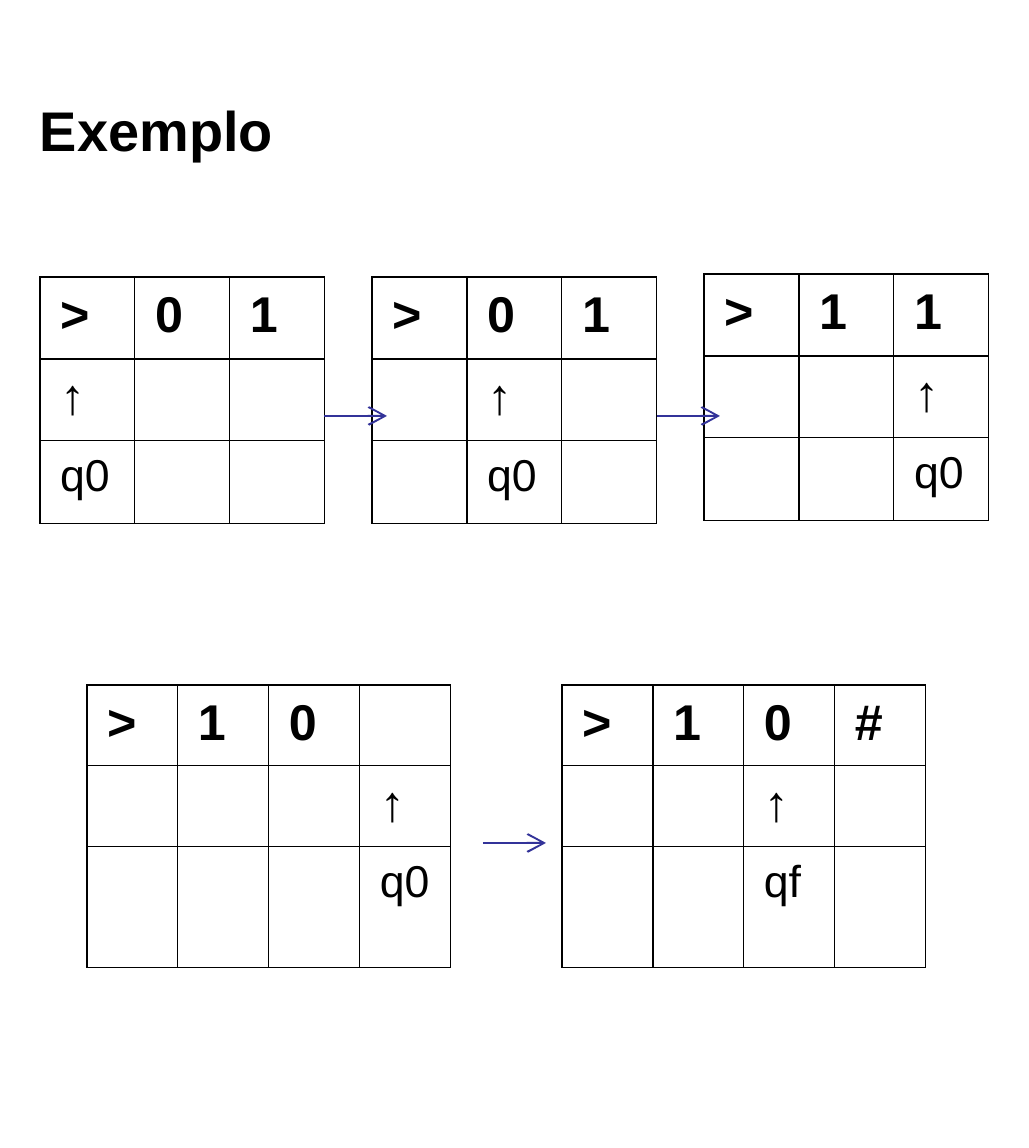
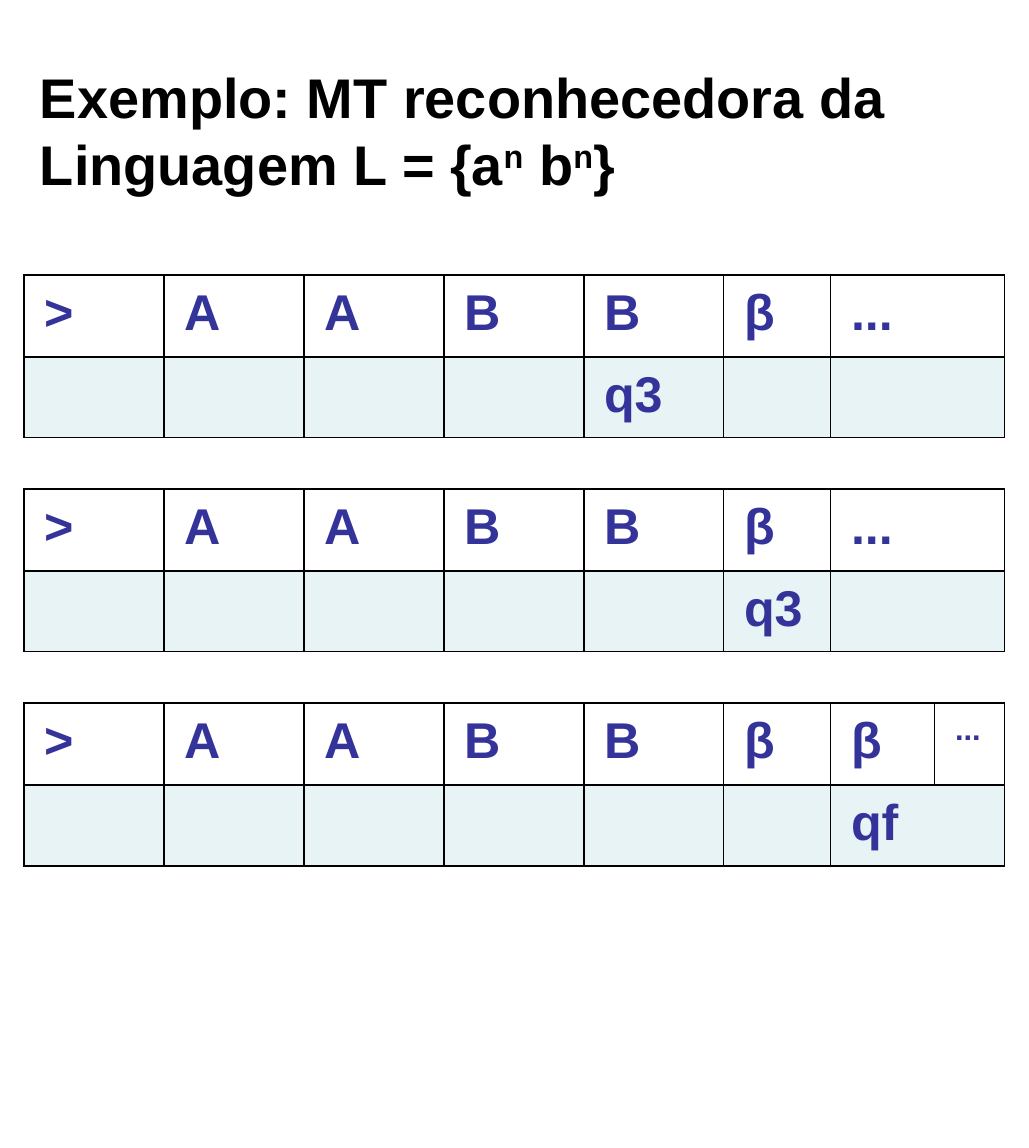
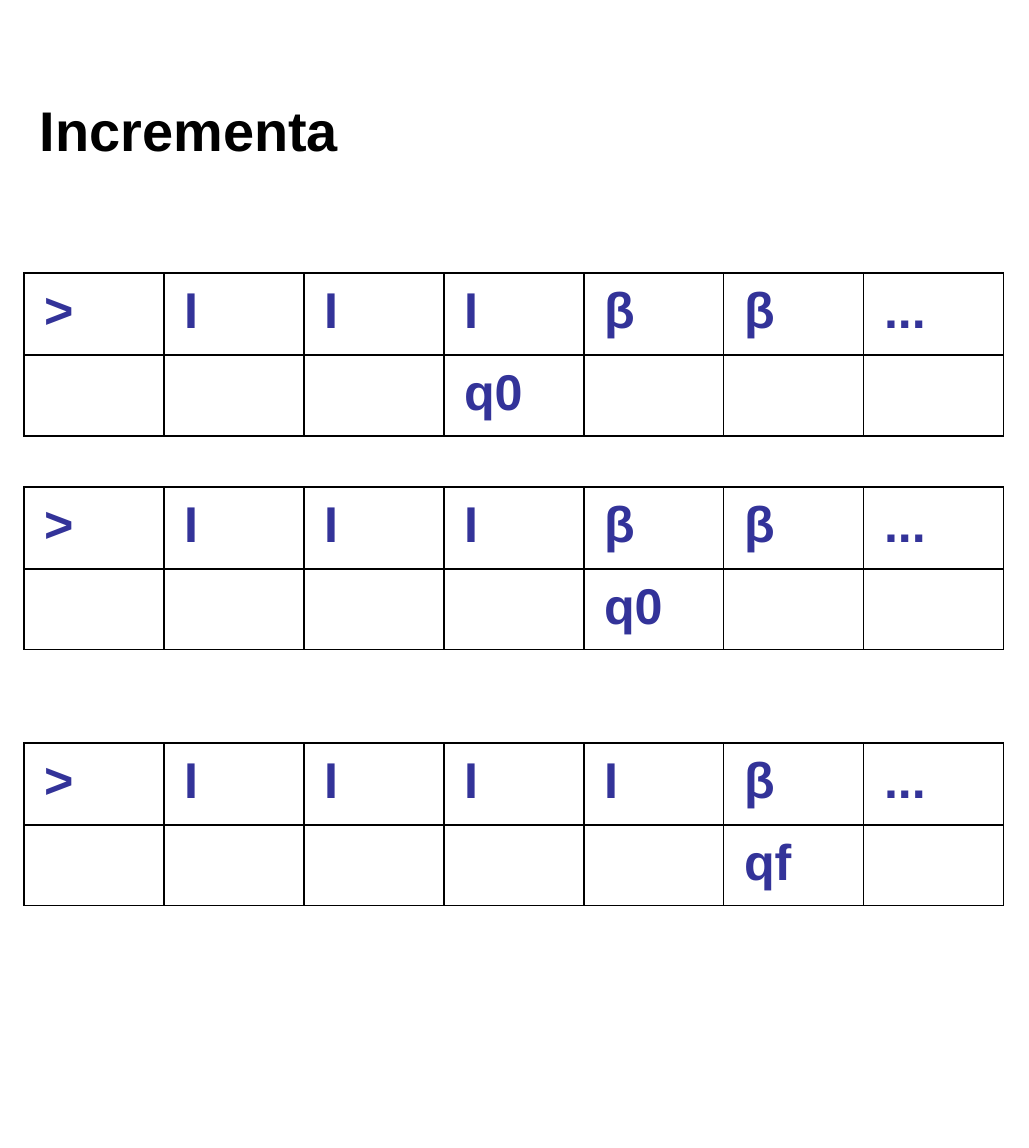
from lxml.etree import SubElement
from pptx import Presentation
from pptx.dml.color import RGBColor
from pptx.enum.shapes import MSO_CONNECTOR
from pptx.enum.text import MSO_ANCHOR, MSO_AUTO_SIZE, PP_ALIGN
from pptx.oxml.ns import qn
from pptx.util import Emu, Pt

SCALE = 914400 / 201
WIDE, HIGH = 1029, 1148
FONT = "Arial"
BLACK = RGBColor(0x00, 0x00, 0x00)
WHITE = RGBColor(0xFF, 0xFF, 0xFF)
BLUE = RGBColor(0x33, 0x33, 0x99)
PALE = RGBColor(0xE7, 0xF3, 0xF4)

LEFT, CELL = 24, 140
BAND = [82, 81]


def px(count):
    """Turn px into EMU."""
    return Emu(round(count * SCALE))


def style(font, size, color, bold):
    """Format a font."""
    font.name, font.size, font.bold = FONT, Pt(size), bold
    font.color.rgb = color


def start(deck, parts):
    """Add a slide whose title is made of (text, raised) parts."""
    slide = deck.slides.add_slide(deck.slide_layouts[5])
    title = slide.shapes.title
    title.left, title.top, title.width, title.height = map(px, (0, 0, WIDE, 259))
    frame = title.text_frame
    frame.word_wrap, frame.auto_size = True, MSO_AUTO_SIZE.NONE
    frame.vertical_anchor = MSO_ANCHOR.MIDDLE
    frame.margin_left, frame.margin_right = px(40), px(20)
    para = frame.paragraphs[0]
    para.alignment = PP_ALIGN.LEFT
    for text, raised in parts:
        run = para.add_run()
        run.text = text
        style(run.font, 20, BLACK, True)
        if raised:
            run.font._element.set("baseline", "30000")
    return slide


def border(cell):
    """Draw a thin black line on each side of a cell."""
    props = cell._tc.get_or_add_tcPr()
    for side in ("lnL", "lnR", "lnT", "lnB"):
        line = SubElement(props, qn(f"a:{side}"), w=str(Pt(0.45)))
        fill = SubElement(line, qn("a:solidFill"))
        SubElement(fill, qn("a:srgbClr"), val=str(BLACK))


def grid(slide, x, y, cols, rows, texts, looks, color):
    """Place a bordered table; looks holds size, bold and fill per row."""
    shape = slide.shapes.add_table(
        len(rows), len(cols), px(x), px(y), px(sum(cols)), px(sum(rows)))
    table = shape.table
    table.first_row = table.horz_banding = False
    for col, width in zip(table.columns, cols):
        col.width = px(width)
    for row, height, line, (size, bold, fill) in zip(
            table.rows, rows, texts, looks):
        row.height = px(height)
        for cell, text in zip(row.cells, line):
            border(cell)
            cell.fill.solid()
            cell.fill.fore_color.rgb = fill
            para = cell.text_frame.paragraphs[0]
            para.text = text
            style(para.font, size, color, bold)
            for run in para.runs:
                style(run.font, size, color, bold)
    return table


def lone(count, spot, text):
    """Return a row that is empty but for one text."""
    return [text if col == spot else "" for col in range(count)]


def trace(slide, x, y, width, rows, signs, spot, state):
    """Place a tape with a head arrow and a state below it."""
    count = len(signs)
    texts = [signs, lone(count, spot, "↑"), lone(count, spot, state)]
    looks = [(18, True, WHITE), (18, False, WHITE), (16, False, WHITE)]
    grid(slide, x, y, [width] * count, rows, texts, looks, BLACK)


def tape(slide, y, cols, signs, spot, state, fill):
    """Place a blue tape with its state in the lower band."""
    texts = [signs, lone(len(signs), spot, state)]
    looks = [(18, True, WHITE), (18, True, fill)]
    return grid(slide, LEFT, y, cols, BAND, texts, looks, BLUE)


def arrow(slide, x, y, length=63):
    """Draw a blue arrow to the right."""
    line = slide.shapes.add_connector(
        MSO_CONNECTOR.STRAIGHT, px(x), px(y), px(x + length), px(y))
    line.line.color.rgb, line.line.width = BLUE, Pt(0.75)
    SubElement(line.line._get_or_add_ln(), qn("a:tailEnd"), type="arrow")
    SubElement(line._element.spPr, qn("a:effectLst"))


def steps(deck):
    """Build the slide with the traced steps."""
    slide = start(deck, [("Exemplo", False)])
    for x, y, signs, spot in ((40, 277, ">01", 0), (372, 277, ">01", 1),
                              (704, 274, ">11", 2)):
        trace(slide, x, y, 95, [82, 82, 83], list(signs), spot, "q0")
    for x, last, spot, state in ((87, "", 3, "q0"), (562, "#", 2, "qf")):
        signs = [">", "1", "0", last]
        trace(slide, x, 685, 91, [81, 81, 121], signs, spot, state)
    for x, y in ((324, 416), (657, 416), (483, 843)):
        arrow(slide, x, y)


def accept(deck):
    """Build the slide with the recognising machine."""
    slide = start(deck, [("Exemplo: MT reconhecedora da Linguagem L = {a", False),
                         ("n", True), (" b", False), ("n", True), ("}", False)])
    base = [CELL] * 5 + [107]
    signs = list(">AABBβ")
    top, step = 275, 214
    for turn, spot in enumerate((4, 5)):
        tape(slide, top + turn * step, base + [174], signs + ["..."],
             spot, "q3", PALE)
    table = tape(slide, top + 2 * step, base + [104, 70],
                 signs + ["β", "..."], 6, "qf", PALE)
    table.cell(1, 6).merge(table.cell(1, 7))
    table.cell(0, 7).text_frame.paragraphs[0].runs[0].font.size = Pt(11)


def count(deck):
    """Build the slide with the incrementing machine."""
    slide = start(deck, [("Incrementa", False)])
    for y, signs, spot, state in ((273, ">IIIββ", 3, "q0"),
                                  (487, ">IIIββ", 4, "q0"),
                                  (743, ">IIIIβ", 5, "qf")):
        tape(slide, y, [CELL] * 7, list(signs) + ["..."], spot, state, WHITE)


def main():
    """Build and save the deck."""
    deck = Presentation()
    deck.slide_width, deck.slide_height = px(WIDE), px(HIGH)
    for build in (steps, accept, count):
        build(deck)
    deck.save("out.pptx")


if __name__ == "__main__":
    main()
